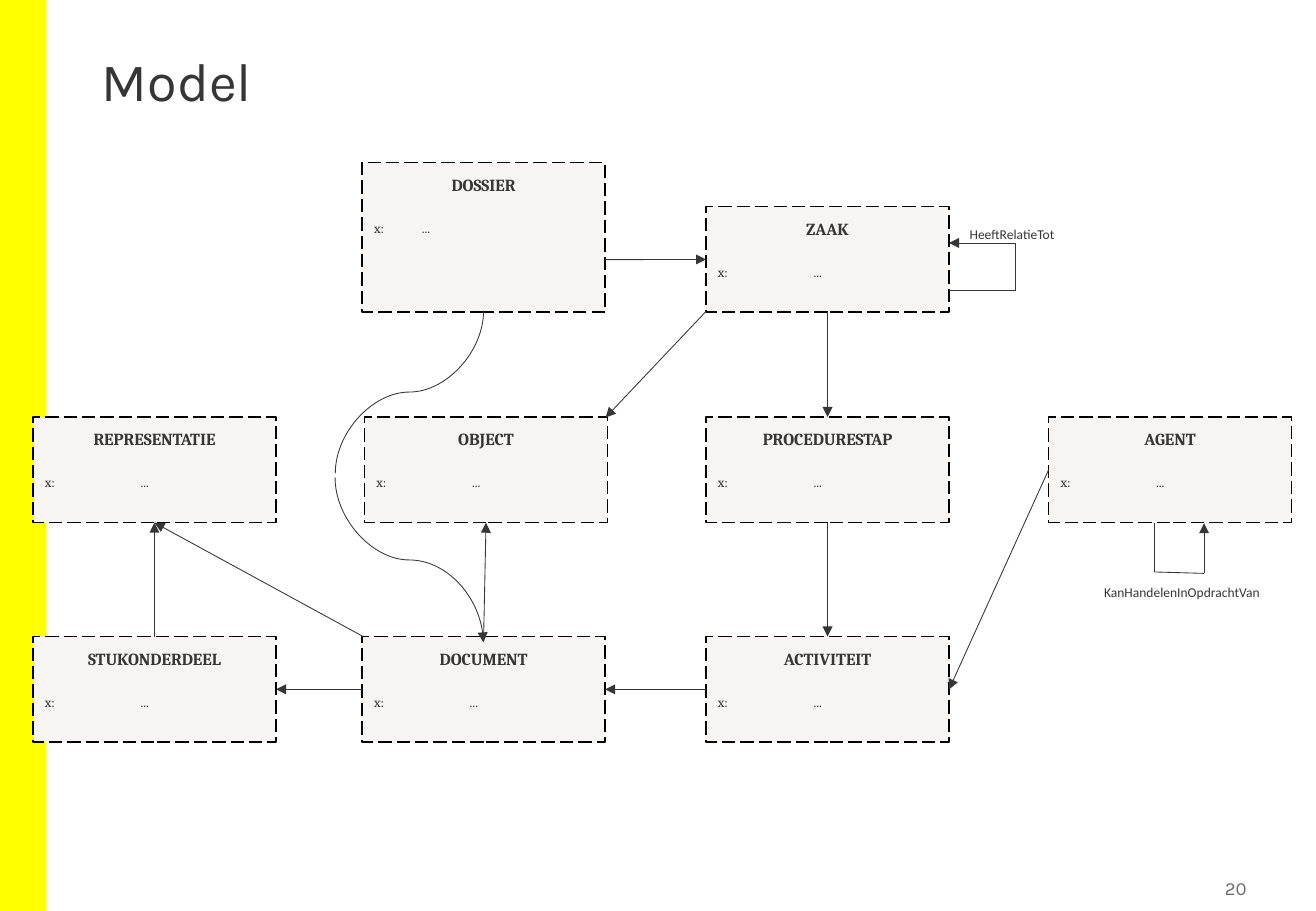
"""Build the slide with the entity model of a case file."""
from dataclasses import dataclass
from typing import Any, Optional

from lxml import etree
from pptx import Presentation
from pptx import util as u
from pptx.dml.color import RGBColor
from pptx.enum import dml, shapes, text
from pptx.oxml.ns import qn

INK, GREY, YELLOW, PAPER, BLACK = "373636", "6B6B6B", "FFFF00", "F6F5F3", "000000"
TOP, LEFT, BOTTOM, RIGHT = range(4)
COLUMNS = (0.69, 7.57, 14.76, 21.92)
MIDDLE_ROW, LOWER_ROW = 8.72, 13.31
BOX_WIDTH = 5.08


@dataclass(frozen=True)
class Entity:
    name: str
    left: float
    top: float
    height: float = 2.21
    tab: float = 2


@dataclass(frozen=True)
class Relation:
    start: tuple[float, float] = (0, 0)
    end: tuple[float, float] = (0, 0)
    source: Optional[tuple[str, int]] = None
    target: Optional[tuple[str, int]] = None
    arrow: bool = True


@dataclass(frozen=True)
class Curve:
    left: float
    top: float
    width: float
    height: float
    turn: dict[str, str]
    arrow: bool


@dataclass(frozen=True)
class Label:
    words: str
    left: float
    top: float
    width: float
    height: float
    size: float = 8
    font: str = "Calibri"
    color: str = INK
    align: Any = text.PP_ALIGN.LEFT
    anchor: Any = text.MSO_ANCHOR.TOP
    line_spacing: float = 1.0


ENTITIES = (
    Entity("DOSSIER", COLUMNS[1], 3.4, 3.12, 1),
    Entity("ZAAK", COLUMNS[2], 4.32),
    Entity("REPRESENTATIE", COLUMNS[0], MIDDLE_ROW),
    Entity("OBJECT", 7.62, MIDDLE_ROW),
    Entity("PROCEDURESTAP", COLUMNS[2], MIDDLE_ROW),
    Entity("AGENT", COLUMNS[3], MIDDLE_ROW),
    Entity("STUKONDERDEEL", COLUMNS[0], LOWER_ROW),
    Entity("DOCUMENT", COLUMNS[1], LOWER_ROW),
    Entity("ACTIVITEIT", COLUMNS[2], LOWER_ROW),
)

RELATIONS = (
    Relation(source=("ZAAK", BOTTOM), target=("PROCEDURESTAP", TOP)),
    Relation(source=("PROCEDURESTAP", BOTTOM), target=("ACTIVITEIT", TOP)),
    Relation(source=("AGENT", LEFT), target=("ACTIVITEIT", RIGHT)),
    Relation(source=("ACTIVITEIT", LEFT), target=("DOCUMENT", RIGHT)),
    Relation(source=("DOCUMENT", LEFT), target=("STUKONDERDEEL", RIGHT)),
    Relation(source=("STUKONDERDEEL", TOP), target=("REPRESENTATIE", BOTTOM)),
    Relation(source=("DOCUMENT", TOP), target=("OBJECT", BOTTOM)),
    Relation(start=(12.65, 5.43), target=("ZAAK", LEFT)),
    Relation(start=(7.59, 13.31), target=("REPRESENTATIE", BOTTOM)),
    Relation((14.76, 6.51), (12.66, 8.73)),
    Relation((19.84, 6.07), (21.23, 6.07), arrow=False),
    Relation((21.23, 6.07), (21.23, 5.08), arrow=False),
    Relation((21.23, 5.08), (19.84, 5.08)),
    Relation((24.13, 10.94), (24.13, 11.96), arrow=False),
    Relation((24.13, 11.96), (25.17, 11.99), arrow=False),
    Relation((25.17, 11.99), (25.17, 10.94)),
)

CURVES = (
    Curve(6.83, 10.16, 3.45, 3.1, {"rot": "16200000", "flipH": "1"}, True),
    Curve(6.86, 6.65, 3.4, 3.1, {"rot": "5400000", "flipH": "1", "flipV": "1"}, False),
)

LABELS = (
    Label("Model", 1.88, 1.02, 23.72, 2.74, 32, "Karla", line_spacing=0.9),
    Label("20", 24.13, 18.21, 2.06, 0.74, 11, "Karla", GREY,
          text.PP_ALIGN.RIGHT, text.MSO_ANCHOR.MIDDLE),
    Label("HeeftRelatieTot", 20.02, 4.6, 3.78, 0.61),
    Label("KanHandelenInOpdrachtVan", 22.83, 12.09, 4.42, 0.61),
)


def rgb(color: str) -> RGBColor:
    return RGBColor.from_string(color)


def apply_format(target: Any, values: dict[str, Any]) -> None:
    for name, value in values.items():
        setattr(target, name, value)


def write(paragraph: Any, words: str, size: float, font: str,
          color: str = INK, bold: bool = False) -> None:
    run = paragraph.add_run()
    run.text = words
    apply_format(run.font, {"size": u.Pt(size), "name": font, "bold": bold})
    run.font.color.rgb = rgb(color)


def add_rectangle(slide: Any, left: float, top: float, width: float,
                  height: float, color: str) -> Any:
    shape = slide.shapes.add_shape(shapes.MSO_SHAPE.RECTANGLE,
                                   *map(u.Cm, (left, top, width, height)))
    shape.shadow.inherit = False
    shape.fill.solid()
    shape.fill.fore_color.rgb = rgb(color)
    shape.line.fill.background()
    return shape


def add_entity(slide: Any, entity: Entity) -> Any:
    shape = add_rectangle(slide, entity.left, entity.top, BOX_WIDTH, entity.height, PAPER)
    shape.line.color.rgb = rgb(BLACK)
    apply_format(shape.line, {"width": u.Pt(1), "dash_style": dml.MSO_LINE.LONG_DASH})
    frame = shape.text_frame
    inset = u.Cm(0.25)
    apply_format(frame, {"word_wrap": True, "vertical_anchor": text.MSO_ANCHOR.TOP,
                         "margin_left": inset, "margin_right": inset,
                         "margin_top": inset, "margin_bottom": inset})
    heading = frame.paragraphs[0]
    heading.alignment = text.PP_ALIGN.CENTER
    write(heading, entity.name, 10, "Cambria", bold=True)
    detail = frame.add_paragraph()
    apply_format(detail, {"alignment": text.PP_ALIGN.LEFT, "space_before": u.Pt(15)})
    tabs = etree.SubElement(detail._p.get_or_add_pPr(), qn("a:tabLst"))
    etree.SubElement(tabs, qn("a:tab"), pos=str(u.Cm(entity.tab)), algn="l")
    write(detail, "x:\t...", 8, "Cambria")
    return shape


def style_connector(connector: Any, arrow: bool) -> None:
    connector.line.color.rgb = rgb(INK)
    connector.line.width = u.Pt(0.5)
    if arrow:
        etree.SubElement(connector.line._get_or_add_ln(), qn("a:tailEnd"), type="triangle")
    etree.SubElement(connector._element.spPr, qn("a:effectLst"))


def add_relation(slide: Any, relation: Relation, boxes: dict[str, Any]) -> None:
    connector = slide.shapes.add_connector(
        shapes.MSO_CONNECTOR.STRAIGHT, *map(u.Cm, relation.start + relation.end))
    if relation.source:
        name, side = relation.source
        connector.begin_connect(boxes[name], side)
    if relation.target:
        name, side = relation.target
        connector.end_connect(boxes[name], side)
    style_connector(connector, relation.arrow)


def add_curve(slide: Any, curve: Curve) -> None:
    corners = (curve.left, curve.top, curve.left + curve.width, curve.top + curve.height)
    connector = slide.shapes.add_connector(shapes.MSO_CONNECTOR.CURVE, *map(u.Cm, corners))
    for name, value in curve.turn.items():
        connector._element.spPr.find(qn("a:xfrm")).set(name, value)
    style_connector(connector, curve.arrow)


def add_label(slide: Any, label: Label) -> None:
    box = slide.shapes.add_textbox(
        *map(u.Cm, (label.left, label.top, label.width, label.height)))
    apply_format(box.text_frame, {"word_wrap": True, "vertical_anchor": label.anchor})
    if label.align == text.PP_ALIGN.RIGHT:
        box.text_frame.margin_right = u.Cm(0.13)
    paragraph = box.text_frame.paragraphs[0]
    apply_format(paragraph, {"alignment": label.align, "line_spacing": label.line_spacing})
    write(paragraph, label.words, label.size, label.font, label.color)


def main() -> None:
    presentation = Presentation()
    apply_format(presentation, {"slide_width": u.Cm(27.51), "slide_height": u.Cm(19.05)})
    slide = presentation.slides.add_slide(presentation.slide_layouts[6])
    add_rectangle(slide, 0, 0, 0.97, 19.05, YELLOW)
    boxes = {entity.name: add_entity(slide, entity) for entity in ENTITIES}
    for relation in RELATIONS:
        add_relation(slide, relation, boxes)
    for curve in CURVES:
        add_curve(slide, curve)
    for label in LABELS:
        add_label(slide, label)
    presentation.save("out.pptx")


if __name__ == "__main__":
    main()
